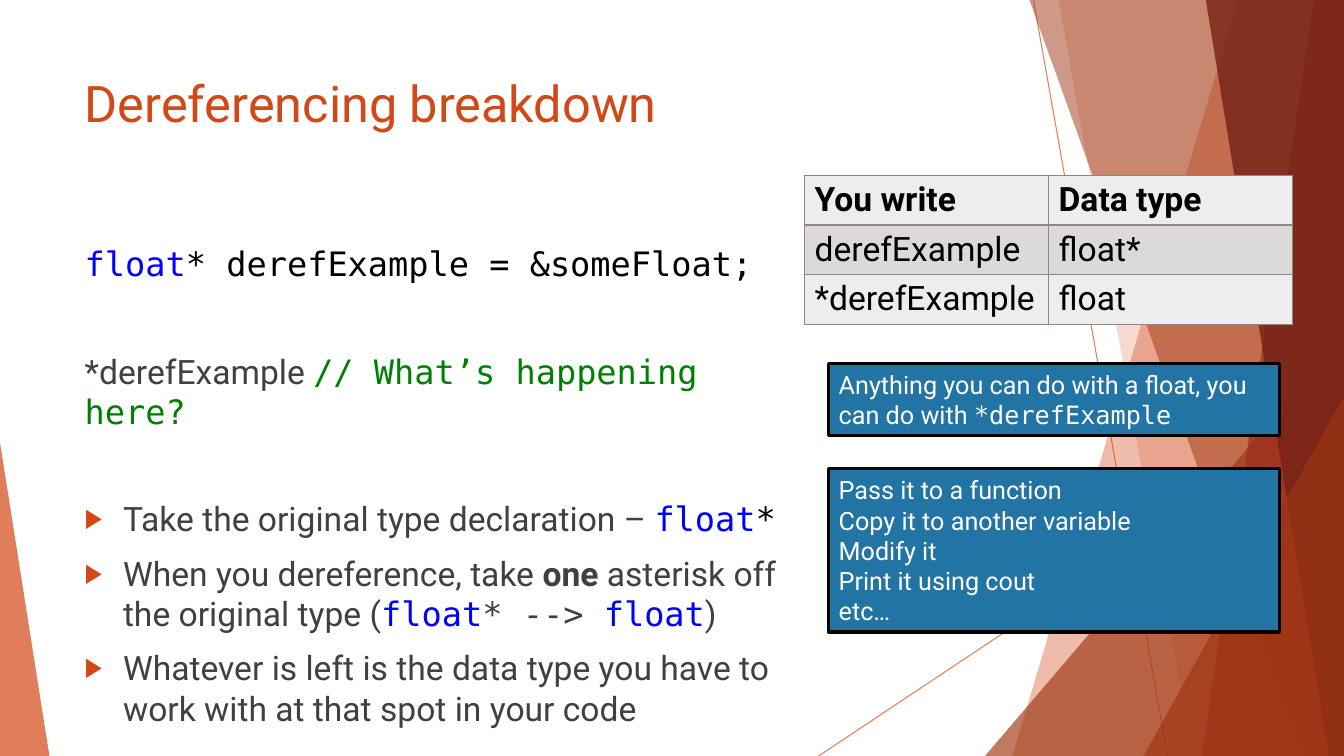
from dataclasses import dataclass

from lxml.etree import SubElement
from pptx import Presentation
from pptx.dml.color import RGBColor
from pptx.enum.shapes import MSO_CONNECTOR, MSO_SHAPE
from pptx.enum.text import MSO_ANCHOR, MSO_AUTO_SIZE, PP_ALIGN
from pptx.oxml.ns import qn
from pptx.util import Inches, Pt


@dataclass(frozen=True)
class Theme:
    sans: str = "Roboto"
    mono: str = "DejaVu Sans Mono"
    head: int = 36
    main: int = 24
    note: int = 18
    gap: int = 10
    wide_gap: int = 48
    rust: str = "D34817"
    brick: str = "9E3611"
    red: str = "9B2D1F"
    wine: str = "742217"
    ink: str = "404040"
    black: str = "000000"
    white: str = "FFFFFF"
    blue: str = "0000FF"
    green: str = "008000"
    panel: str = "2274A5"
    rule: str = "918485"
    bands: tuple = ("EEEDED", "DCD9D9")


def rgb(code):
    return RGBColor.from_string(code)


def fade(shape, share):
    tint = next(shape.element.iter(qn("a:srgbClr")))
    SubElement(tint, qn("a:alpha"), val=str(share * 1000))


class Deck:
    def __init__(self, theme):
        self.theme = theme
        self.show = Presentation()
        self.show.slide_width = Inches(13.33)
        self.show.slide_height = Inches(7.5)
        self.slide = self.show.slides.add_slide(self.show.slide_layouts[1])
        self.shapes = self.slide.shapes

    # Text
    def add_runs(self, par, runs, size):
        par.alignment = PP_ALIGN.LEFT
        for text, color, face, bold in runs:
            run = par.add_run()
            run.text = text
            run.font.size = Pt(size)
            run.font.name = face
            run.font.bold = bold
            run.font.color.rgb = rgb(color)

    def fill_frame(self, frame, lines, size):
        for i, runs in enumerate(lines):
            par = frame.paragraphs[0] if i == 0 else frame.add_paragraph()
            self.add_runs(par, runs, size)

    def holder(self, index, box, lines, size):
        hold = self.slide.placeholders[index]
        hold.left, hold.top, hold.width, hold.height = map(Inches, box)
        self.shapes.element.append(hold.element)
        frame = hold.text_frame
        frame.word_wrap = True
        frame.auto_size = MSO_AUTO_SIZE.NONE
        frame.vertical_anchor = MSO_ANCHOR.TOP
        self.fill_frame(frame, lines, size)
        return frame.paragraphs

    def indent(self, par, bullet):
        props = par._p.get_or_add_pPr()
        step = Inches(0.38) if bullet else 0
        props.set("marL", str(step))
        props.set("indent", str(-step))
        if not bullet:
            SubElement(props, qn("a:buNone"))
            return
        tint = SubElement(props, qn("a:buClr"))
        SubElement(tint, qn("a:srgbClr"), val=self.theme.rust)
        SubElement(props, qn("a:buSzPct"), val="80000")
        SubElement(props, qn("a:buChar"), char="▶")

    # Backdrop pieces
    def line(self, start, end):
        ends = map(Inches, start + end)
        line = self.shapes.add_connector(MSO_CONNECTOR.STRAIGHT, *ends)
        line.line.color.rgb = rgb(self.theme.rust)
        line.line.width = Pt(0.75)
        fade(line, 70)
        SubElement(line.element.spPr, qn("a:effectLst"))

    def paint(self, shape, color, share):
        shape.shadow.inherit = False
        shape.fill.solid()
        shape.fill.fore_color.rgb = rgb(color)
        shape.line.fill.background()
        fade(shape, share)

    def shard(self, top, foot, color, share):
        edge, base = self.show.slide_width, self.show.slide_height
        pen = self.shapes.build_freeform(Inches(top), 0)
        pen.add_line_segments([(edge, 0), (edge, base), (Inches(foot), base)])
        self.paint(pen.convert_to_shape(), color, share)

    def wedge(self, box, tip, color, share):
        kind = MSO_SHAPE.ISOSCELES_TRIANGLE
        shape = self.shapes.add_shape(kind, *map(Inches, box))
        shape.adjustments[0] = tip
        self.paint(shape, color, share)

    # Content pieces
    def panel(self, top, height, lines):
        box = map(Inches, (8.22, top, 4.47, height))
        shape = self.shapes.add_shape(MSO_SHAPE.RECTANGLE, *box)
        shape.shadow.inherit = False
        shape.fill.solid()
        shape.fill.fore_color.rgb = rgb(self.theme.panel)
        shape.line.color.rgb = rgb(self.theme.black)
        shape.line.width = Pt(2.25)
        shape.text_frame.word_wrap = True
        self.fill_frame(shape.text_frame, lines, self.theme.note)

    def table(self, box, rows):
        look = self.theme
        size = len(rows), len(rows[0])
        grid = self.shapes.add_table(*size, *map(Inches, box)).table
        for i, row in enumerate(rows):
            for j, text in enumerate(row):
                cell = grid.cell(i, j)
                runs = [(text, look.black, look.sans, i == 0)]
                self.add_runs(cell.text_frame.paragraphs[0], runs, look.main)
                props = cell._tc.get_or_add_tcPr()
                for side in ("lnL", "lnR", "lnT", "lnB"):
                    edge = SubElement(props, qn("a:" + side), w=str(Pt(1)))
                    fill = SubElement(edge, qn("a:solidFill"))
                    SubElement(fill, qn("a:srgbClr"), val=look.rule)
                cell.fill.solid()
                cell.fill.fore_color.rgb = rgb(look.bands[i % 2])


def main():
    look = Theme()
    deck = Deck(look)

    def sans(text, color=look.ink, bold=False):
        return text, color, look.sans, bold

    def mono(text, color=look.blue):
        return text, color, look.mono, False

    # Backdrop, from back to front
    deck.line((10.25, 0), (11.58, 7.5))
    deck.line((13.33, 4.03), (8.12, 7.5))
    deck.shard(12.28, 10.04, look.rust, 36)
    deck.shard(10.5, 11.83, look.rust, 20)
    deck.wedge((9.77, 3.33, 3.56, 4.17), 1, look.brick, 66)
    deck.shard(10.21, 12.91, look.brick, 50)
    deck.shard(13.03, 11.92, look.red, 70)
    deck.shard(11.96, 13.18, look.wine, 80)
    deck.wedge((11.34, 3.93, 1.99, 3.57), 1, look.brick, 66)
    deck.wedge((0, 4.39, 0.49, 3.11), 0, look.rust, 70)

    # Title
    title = [[sans("Dereferencing breakdown", look.rust)]]
    deck.holder(0, (0.74, 0.67, 9.4, 1.44), title, look.head)

    # Code lines, then bullets
    code = [
        [mono("float"), mono("* derefExample = &someFloat;", look.black)],
        [sans("*derefExample "),
         mono("// What’s happening here?", look.green)],
    ]
    steps = [
        [sans("Take the original type declaration – "), mono("float"),
         mono("*", look.black)],
        [sans("When you dereference, take "), sans("one", bold=True),
         sans(" asterisk off the original type ("), mono("float"),
         mono("* --> ", look.ink), mono("float"), sans(")")],
        [sans("Whatever is left is the data type you have to work with "
              "at that spot in your code")],
    ]
    box = (0.74, 2.36, 7.28, 4.24)
    pars = deck.holder(1, box, code + steps, look.main)
    for i, par in enumerate(pars):
        wide = i <= len(code)
        par.space_before = Pt(look.wide_gap if wide else look.gap)
        deck.indent(par, i >= len(code))
    pars[0].space_before = Pt(0)

    # Type table
    deck.table((7.98, 1.74, 4.84, 1.47), [
        ("You write", "Data type"),
        ("derefExample", "float*"),
        ("*derefExample", "float"),
    ])

    # Notes on the right
    deck.panel(3.61, 0.71, [[
        sans("Anything you can do with a float, you can do with ", look.white),
        mono("*derefExample", look.white)]])
    uses = ("Pass it to a function", "Copy it to another variable",
            "Modify it", "Print it using cout", "etc…")
    deck.panel(4.65, 1.62, [[sans(use, look.white)] for use in uses])

    deck.show.save("out.pptx")


if __name__ == "__main__":
    main()
